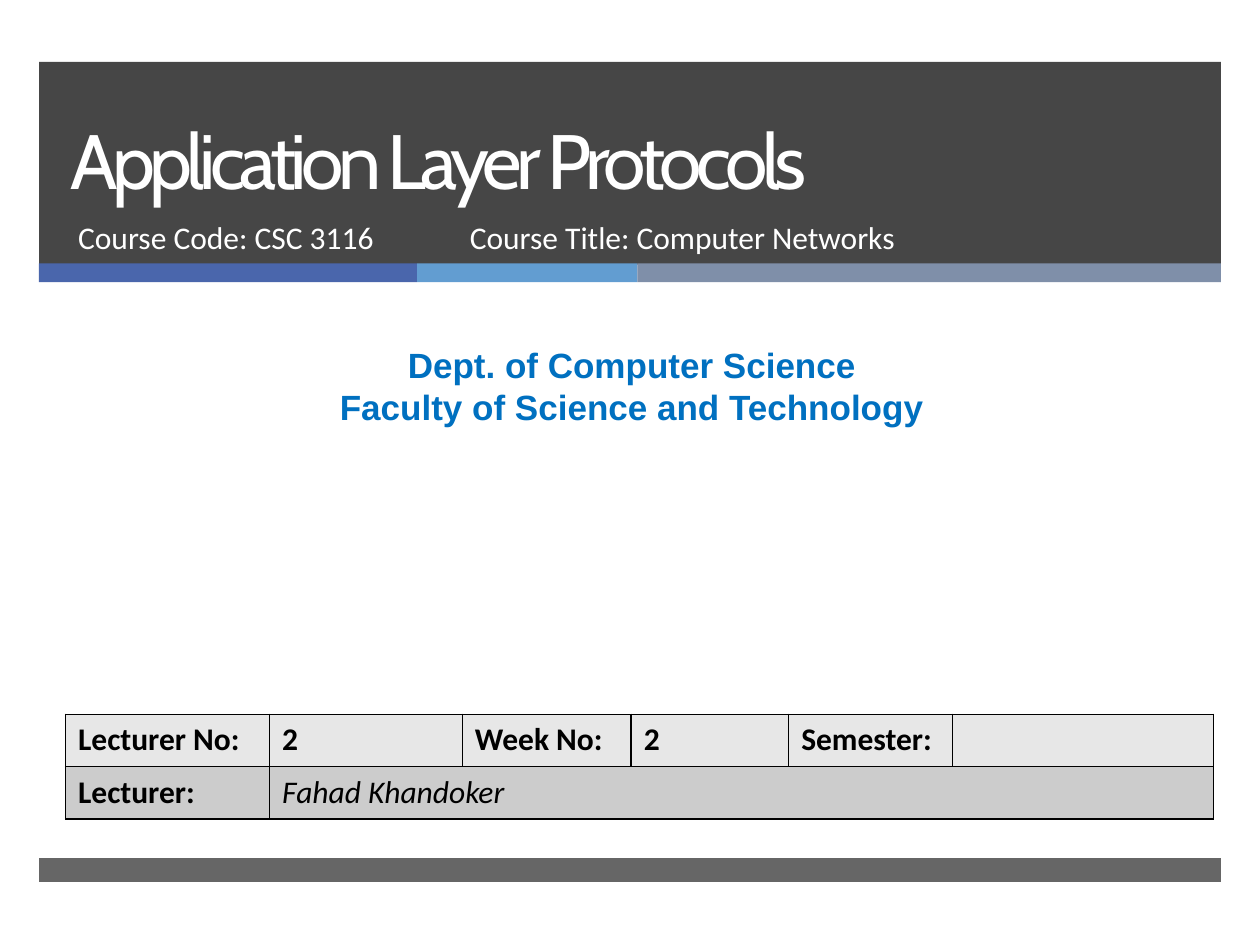
from dataclasses import dataclass

from lxml.etree import SubElement
from pptx import Presentation
from pptx.dml.color import RGBColor
from pptx.enum.shapes import MSO_SHAPE
from pptx.enum.text import MSO_ANCHOR, MSO_AUTO_SIZE, PP_ALIGN
from pptx.oxml.ns import qn
from pptx.util import Inches, Pt


@dataclass(frozen=True)
class Theme:
    """Colours, fonts and type sizes of the slide."""
    dark: str = "262626"
    stripes: tuple = ("4A66AC", "629DD1", "7F8FA9")
    light_text: str = "FFFFFF"
    department: str = "0070C0"
    ink: str = "000000"
    rows: tuple = ("E7E7E7", "CCCCCC")
    title_font: str = "Cabin"
    body_font: str = "Calibri"
    department_font: str = "Arial"
    title_size: int = 44
    body_size: int = 18
    department_size: int = 20


THEME = Theme()
MARGIN = 0.31
BAND_WIDTH = 9.38


def place(shape, left, top, width, height):
    """Move a shape to a box given in inches."""
    shape.left, shape.top = Inches(left), Inches(top)
    shape.width, shape.height = Inches(width), Inches(height)


def style_font(paragraph, name, size, color, bold=False, italic=False):
    """Format every run of a paragraph."""
    for run in paragraph.runs:
        font = run.font
        font.name, font.size = name, Pt(size)
        font.bold, font.italic = bold, italic
        font.color.rgb = RGBColor.from_string(color)


def add_band(slide, left, top, width, height, color, opacity=100):
    """Add a plain rectangle, see-through if opacity is below 100."""
    band = slide.shapes.add_shape(
        MSO_SHAPE.RECTANGLE, Inches(left), Inches(top), Inches(width), Inches(height))
    band.shadow.inherit = False
    band.line.fill.background()
    band.fill.solid()
    band.fill.fore_color.rgb = RGBColor.from_string(color)
    if opacity < 100:
        fill_color = band.element.spPr.find(f"{qn('a:solidFill')}/{qn('a:srgbClr')}")
        SubElement(fill_color, qn("a:alpha"), val=str(opacity * 1000))


def add_stripes(slide):
    """Add the row of coloured stripes below the header."""
    left = MARGIN
    for width, color in zip((3, 1.75, 4.63), THEME.stripes):
        add_band(slide, left, 2.09, width, 0.15, color)
        left += width


def write_text(shape, text, font, size, color, bold=False,
               align=PP_ALIGN.LEFT, anchor=MSO_ANCHOR.TOP):
    """Fill a shape with wrapped text in one style."""
    frame = shape.text_frame
    frame.text = text
    frame.word_wrap = True
    frame.auto_size = MSO_AUTO_SIZE.NONE
    frame.vertical_anchor = anchor
    for paragraph in frame.paragraphs:
        paragraph.alignment = align
        paragraph.space_before = Pt(0)
        style_font(paragraph, font, size, color, bold)


def fill_title(slide):
    """Set the lecture title in its placeholder, in front of the bands."""
    title = slide.shapes.title
    slide.shapes.element.append(title.element)
    place(title, 0.46, 0.49, 8.54, 1.19)
    write_text(title, "Application Layer Protocols", THEME.title_font,
               THEME.title_size, THEME.light_text, anchor=MSO_ANCHOR.BOTTOM)
    paragraph = title.text_frame.paragraphs[0]
    paragraph.line_spacing = Pt(46)
    paragraph.runs[0].font._element.set("spc", "-320")


def fill_course(slide):
    """Set the course code and the course title side by side."""
    course_code = slide.placeholders[1]
    slide.shapes.element.append(course_code.element)
    place(course_code, 0.52, 1.68, 3.05, 0.53)
    course_title = slide.shapes.add_textbox(
        Inches(3.63), Inches(1.68), Inches(4.55), Inches(0.53))
    for shape, text in ((course_code, "Course Code: CSC 3116"),
                        (course_title, "Course Title: Computer Networks")):
        write_text(shape, text, THEME.body_font, THEME.body_size, THEME.light_text)


def add_department(slide):
    """Add the centred department and faculty lines."""
    department = slide.shapes.add_textbox(
        Inches(0.08), Inches(2.68), Inches(9.87), Inches(0.77))
    write_text(department, "Dept. of Computer Science\nFaculty of Science and Technology",
               THEME.department_font, THEME.department_size, THEME.department,
               bold=True, align=PP_ALIGN.CENTER)
    department.text_frame.auto_size = MSO_AUTO_SIZE.SHAPE_TO_FIT_TEXT


def add_borders(cell):
    """Draw a thin line on the four sides of a cell."""
    properties = cell._tc.get_or_add_tcPr()
    for position, side in enumerate(("a:lnL", "a:lnR", "a:lnT", "a:lnB")):
        line = SubElement(properties, qn(side), w=str(Pt(1)))
        properties.insert(position, line)
        fill = SubElement(line, qn("a:solidFill"))
        SubElement(fill, qn("a:srgbClr"), val=THEME.ink)


def add_lecture_table(slide):
    """Add the table of lecture details."""
    widths = (1.62, 1.53, 1.34, 1.25, 1.3, 2.07)
    details = (("Lecturer No:", "2", "Week No:", "2", "Semester:", ""),
               ("Lecturer:", "Fahad Khandoker", "", "", "", ""))
    table = slide.shapes.add_table(
        len(details), len(widths), Inches(0.52), Inches(5.67),
        Inches(sum(widths)), Inches(0.83)).table
    for column, width in zip(table.columns, widths):
        column.width = Inches(width)
    table.cell(1, 1).merge(table.cell(1, 5))
    for row_index, (texts, color) in enumerate(zip(details, THEME.rows)):
        for column_index, text in enumerate(texts):
            cell = table.cell(row_index, column_index)
            cell.fill.solid()
            cell.fill.fore_color.rgb = RGBColor.from_string(color)
            add_borders(cell)
            if text:
                is_name = (row_index, column_index) == (1, 1)
                cell.text_frame.text = text
                style_font(cell.text_frame.paragraphs[0], THEME.body_font,
                           THEME.body_size, THEME.ink, bold=not is_name, italic=is_name)


def main():
    """Build the lecture title slide and save it."""
    presentation = Presentation()
    presentation.slide_width, presentation.slide_height = Inches(10), Inches(7.5)
    slide = presentation.slides.add_slide(presentation.slide_layouts[0])
    add_band(slide, MARGIN, 0.49, BAND_WIDTH, 1.61, THEME.dark, 85)
    add_stripes(slide)
    add_band(slide, MARGIN, 6.81, BAND_WIDTH, 0.19, THEME.dark, 70)
    fill_title(slide)
    fill_course(slide)
    add_department(slide)
    add_lecture_table(slide)
    presentation.save("out.pptx")


if __name__ == "__main__":
    main()
